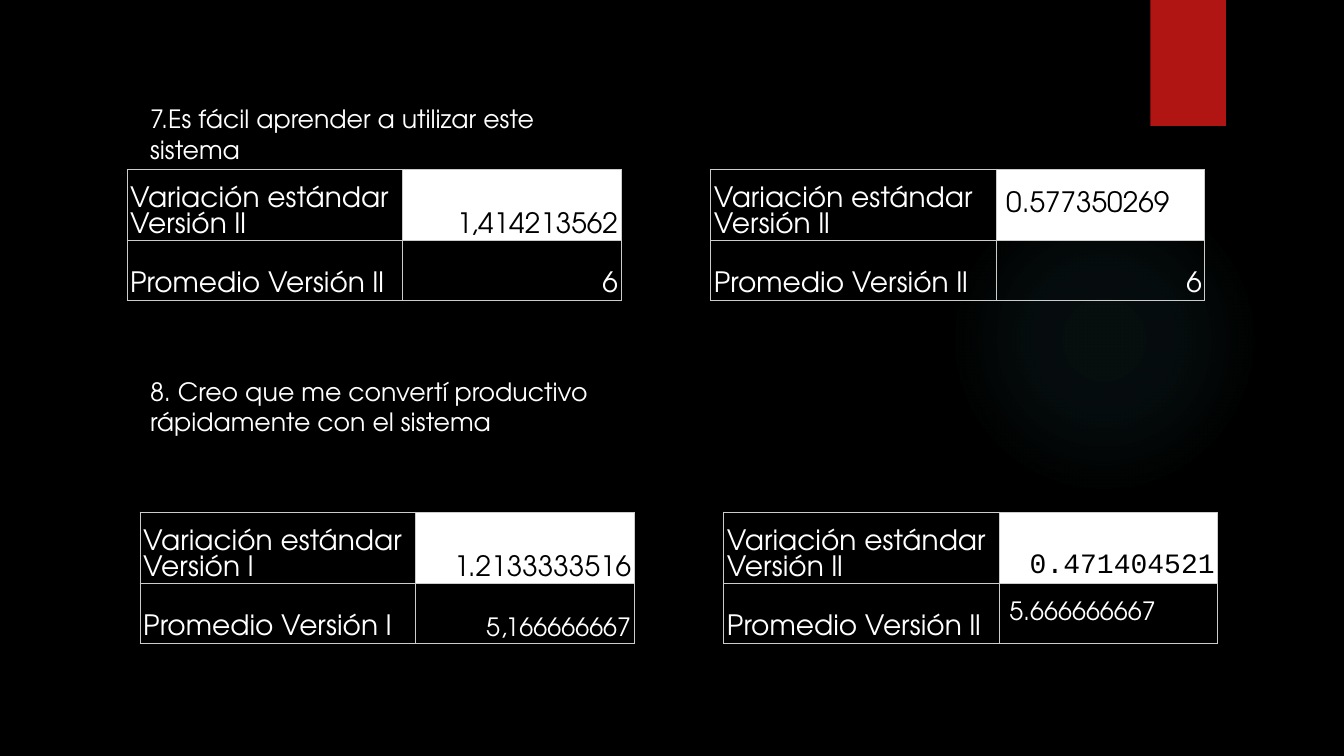
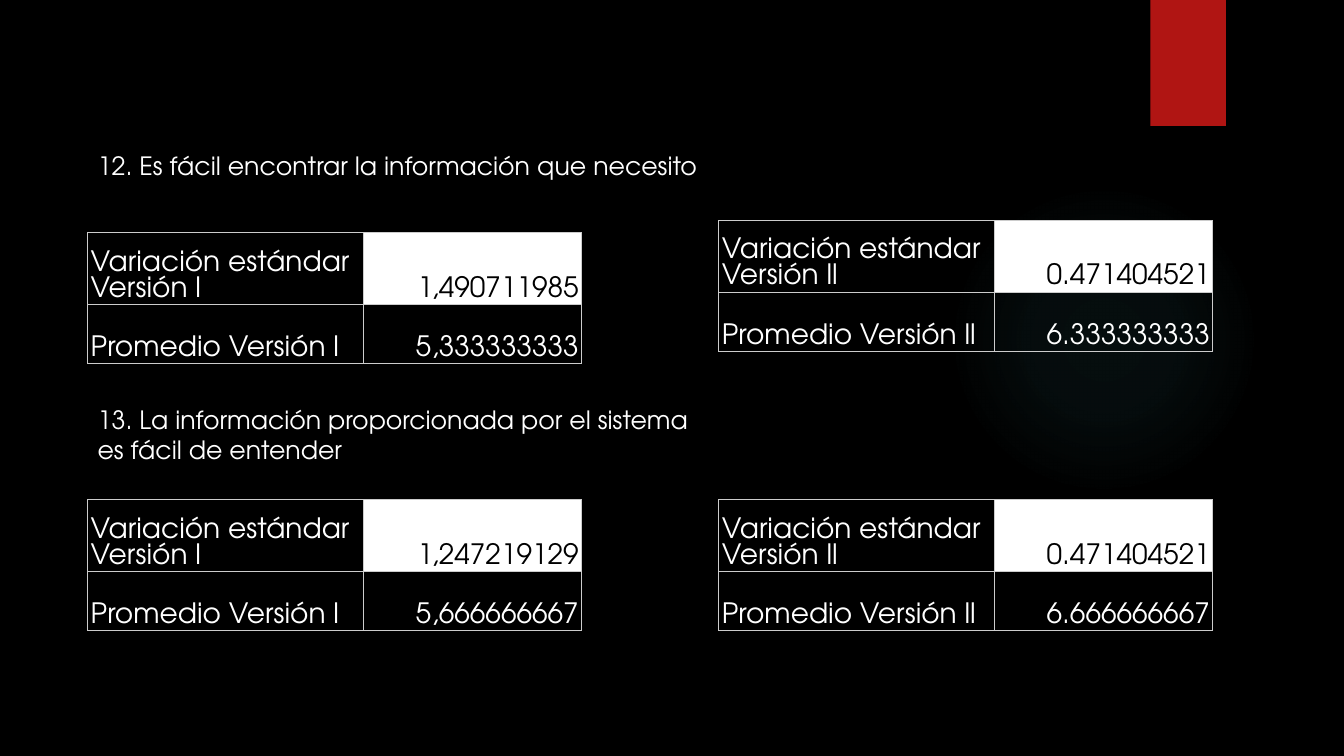
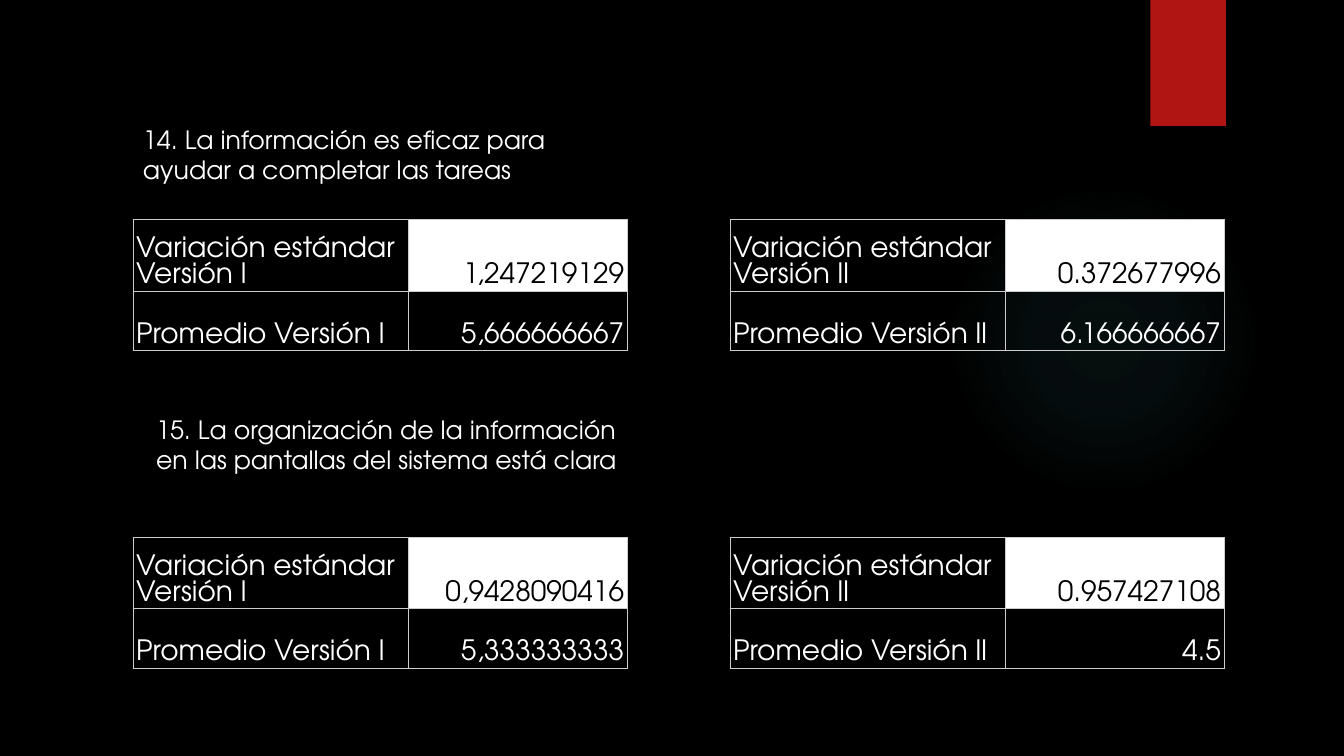
"""Build three slides of usability survey results, version I against version II."""
from dataclasses import dataclass

from pptx import Presentation
from pptx.dml.color import RGBColor as Rgb
from pptx.enum.shapes import MSO_SHAPE as Shape
from pptx.enum.text import MSO_ANCHOR as Anchor, PP_ALIGN as Align
from pptx.oxml import parse_xml
from pptx.oxml.ns import nsdecls, qn
from pptx.util import Inches, Pt


@dataclass
class Theme:
    back: str = "000000"
    text: str = "FFFFFF"
    dark: str = "000000"
    tab: str = "B01513"
    glow: str = "50B9C1"
    rule: str = "CCCCCC"
    font: str = "TeX Gyre Adventor"
    mono: str = "Courier New"
    body: int = 18
    cell: int = 20


theme = Theme()


def write(frame, text, size=theme.body, color=theme.text, font=theme.font, align=Align.LEFT):
    frame.text = text
    for para in frame.paragraphs:
        para.alignment = align
        for run in para.runs:
            run.font.size = Pt(size)
            run.font.name = font
            run.font.color.rgb = Rgb.from_string(color)


def grid(slide, left, top, name, values, split=2.73, mids=(), fonts=None, sizes=None):
    frame = slide.shapes.add_table(2, 2, Inches(left), Inches(top), Inches(4.9), Inches(1.3))
    table = frame.table
    table.first_row = table.horz_banding = False
    for col, width in zip(table.columns, (split, 4.9 - split)):
        col.width = Inches(width)
    for row, height in zip(table.rows, (0.71, 0.59)):
        row.height = Inches(height)
    labels = (f"Variación estándar Versión {name}", f"Promedio Versión {name}")
    for r, pair in enumerate(zip(labels, values)):
        for c, text in enumerate(pair):
            cell = table.cell(r, c)
            mid = c == 1 and r in mids
            light = (r, c) == (0, 1)
            cell.margin_left = cell.margin_right = Inches(0.1 if mid else 0.03)
            cell.margin_top = cell.margin_bottom = Inches(0.05 if mid else 0.02)
            cell.vertical_anchor = Anchor.MIDDLE if mid else Anchor.BOTTOM
            if light:
                cell.fill.solid()
                cell.fill.fore_color.rgb = Rgb.from_string(theme.text)
            else:
                cell.fill.background()
            write(cell.text_frame, text,
                  size=(sizes or {}).get((r, c), theme.cell),
                  font=(fonts or {}).get((r, c), theme.font),
                  color=theme.dark if light else theme.text,
                  align=Align.RIGHT if c and not mid else Align.LEFT)
    for props in frame.element.iter(qn("a:tcPr")):
        for i, side in enumerate("LRTB"):
            props.insert(i, parse_xml(
                f'<a:ln{side} {nsdecls("a")} w="9525"><a:solidFill>'
                f'<a:srgbClr val="{theme.rule}"/></a:solidFill></a:ln{side}>'))


pages = [
    ([(1.39, 0.98, 4.27, "7.Es fácil aprender a utilizar este sistema"),
      (1.39, 3.68, 4.9, "8. Creo que me convertí productivo rápidamente con el sistema")],
     [(1.26, 1.68, "ll", ("1,414213562", "6"), {}),
      (7.05, 1.68, "ll", ("0.577350269", "6"), {"split": 2.83, "mids": (0,)}),
      (1.39, 5.08, "l", ("1.2133333516", "5,166666667"), {"sizes": {(1, 1): theme.body}}),
      (7.18, 5.08, "ll", ("0.471404521", "5.666666667"),
       {"mids": (1,), "fonts": {(0, 1): theme.mono}, "sizes": {(1, 1): theme.body}})]),
    ([(0.87, 1.44, 6.3, "12. Es fácil encontrar la información que necesito"),
      (0.87, 3.96, 6.67,
       "13. La información proporcionada por el sistema\nes fácil de entender")],
     [(0.87, 2.31, "l", ("1,490711985", "5,333333333"), {}),
      (0.87, 4.96, "l", ("1,247219129", "5,666666667"), {}),
      (7.13, 2.19, "ll", ("0.471404521", "6.333333333"), {}),
      (7.13, 4.96, "ll", ("0.471404521", "6.666666667"), {})]),
    ([(1.32, 1.18, 4.27, "14. La información es eficaz para ayudar a completar las tareas"),
      (1.45, 4.06, 4.9,
       "15. La organización de la información en las pantallas del sistema está clara")],
     [(1.32, 2.18, "l", ("1,247219129", "5,666666667"), {}),
      (1.32, 5.33, "l", ("0,9428090416", "5,333333333"), {}),
      (7.24, 2.18, "ll", ("0.372677996", "6.166666667"), {}),
      (7.24, 5.33, "ll", ("0.957427108", "4.5"), {})]),
]

deck = Presentation()
deck.slide_width, deck.slide_height = Inches(13.33), Inches(7.5)
fill = deck.slide_master.background.fill
fill.solid()
fill.fore_color.rgb = Rgb.from_string(theme.back)

layout = deck.slide_layouts.get_by_name("Blank")
for holder in list(layout.placeholders):
    holder.element.getparent().remove(holder.element)
slides = [deck.slides.add_slide(layout) for page in pages]

shapes = slides[0].shapes
glow = shapes.add_shape(Shape.OVAL, Inches(9.41), Inches(1.83), Inches(3.08), Inches(3.08))
tab = shapes.add_shape(Shape.RECTANGLE, Inches(11.41), 0, Inches(0.75), Inches(1.25))
for part in (glow, tab):
    part.shadow.inherit = False
    part.line.fill.background()
    layout.shapes.element.append(part.element)

glow.fill.background()
stops = "".join(
    f'<a:gs pos="{pos}000"><a:srgbClr val="{theme.glow}"><a:alpha val="{alpha}000"/>'
    f'</a:srgbClr></a:gs>' for pos, alpha in ((0, 7), (36, 6), (69, 0)))
blank = glow.element.spPr.find(qn("a:noFill"))
blank.getparent().replace(blank, parse_xml(
    f'<a:gradFill {nsdecls("a")}><a:gsLst>{stops}</a:gsLst><a:path path="circle">'
    f'<a:fillToRect l="50000" t="50000" r="50000" b="50000"/></a:path></a:gradFill>'))

tab.fill.solid()
tab.fill.fore_color.rgb = Rgb.from_string(theme.tab)
tab.element.spPr.find(qn("a:effectLst")).append(parse_xml(
    f'<a:outerShdw {nsdecls("a")} blurRad="{Pt(3)}" dist="{Pt(2)}" dir="5400000">'
    f'<a:srgbClr val="{theme.dark}"><a:alpha val="45000"/></a:srgbClr></a:outerShdw>'))

for slide, (asks, grids) in zip(slides, pages):
    for left, top, width, text in asks:
        box = slide.shapes.add_textbox(Inches(left), Inches(top), Inches(width), Inches(0.71))
        box.text_frame.word_wrap = True
        write(box.text_frame, text)
    for left, top, name, values, look in grids:
        grid(slide, left, top, name, values, **look)

deck.save("out.pptx")
